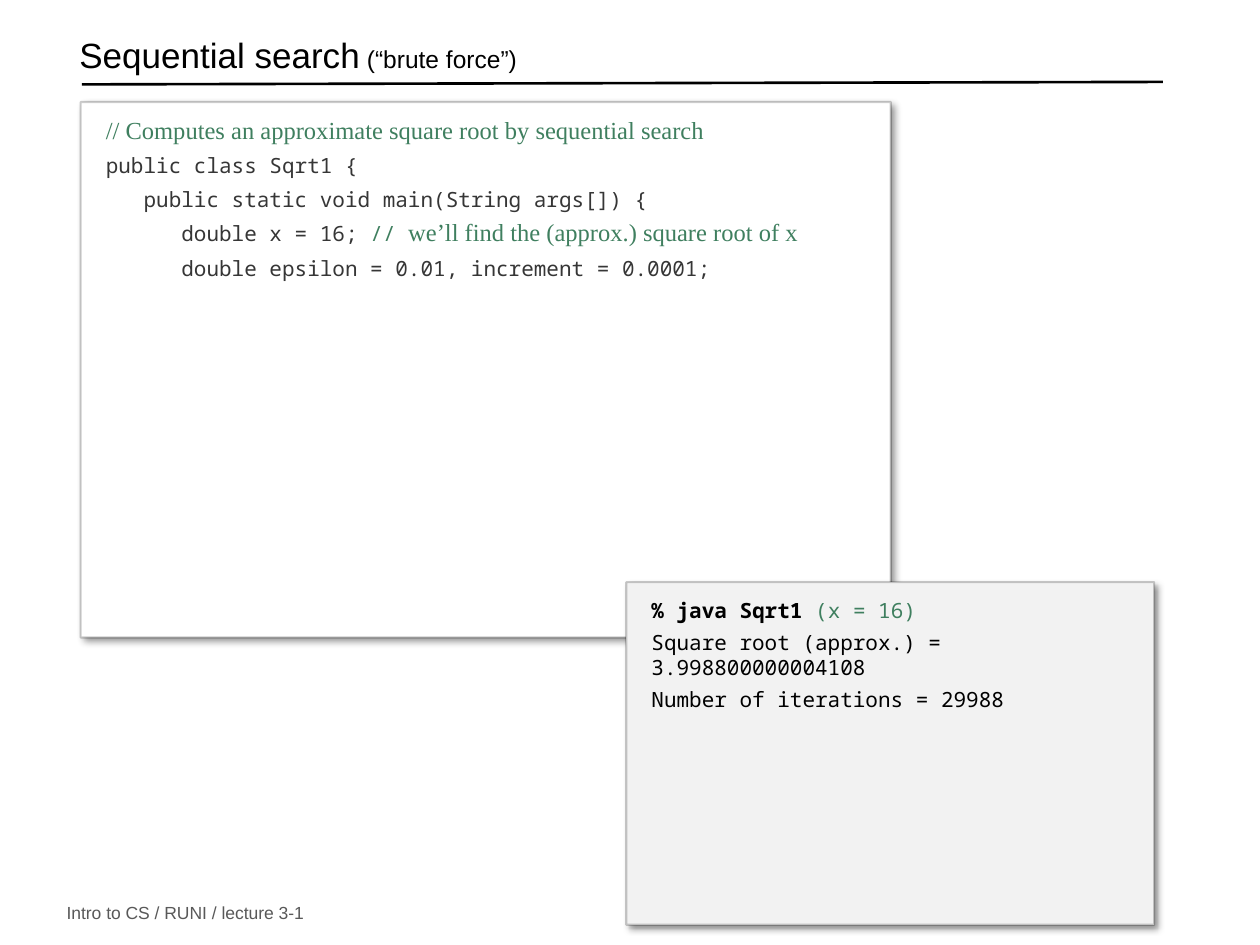
"""Build the sequential search slide with its code panel and console panel."""
from lxml.etree import SubElement
from pptx import Presentation
from pptx.dml.color import RGBColor
from pptx.enum.shapes import MSO_CONNECTOR, MSO_SHAPE
from pptx.enum.text import MSO_ANCHOR, MSO_AUTO_SIZE, PP_ALIGN
from pptx.oxml.ns import qn
from pptx.util import Inches, Pt

COLORS = {"black": "000000", "white": "FFFFFF", "console": "F2F2F2",
          "comment": "3F7F5F", "code": "363636", "footer": "595959"}
HEADING = {"font": "Arial", "size": 20, "color": "black"}
SUBHEADING = {**HEADING, "size": 14}
FOOTER = {"font": "Arial", "size": 10, "color": "footer"}
CODE = {"font": "Noto Sans Mono", "size": 12, "color": "code"}
CODE_COMMENT = {**CODE, "color": "comment"}
COMMENT = {"font": "Times New Roman", "size": 14, "color": "comment"}
OUTPUT = {**CODE, "color": "black"}
COMMAND = {**OUTPUT, "bold": True}

TITLE = [(0, [("Sequential search", HEADING), (" (“brute force”)", SUBHEADING)])]
FOOTER_TEXT = [(0, [("Intro to CS / RUNI / lecture 3-1", FOOTER)])]
PROGRAM = [
    (0, [("// Computes an approximate square root by sequential search", COMMENT)]),
    (5, [("public class Sqrt1 {", CODE)]),
    (5, [("   public static void main(String args[]) {", CODE)]),
    (3, [("      double x = 16; ", CODE), ("// ", CODE_COMMENT),
         ("we’ll find the (approx.) square root of x", COMMENT)]),
    (5, [("      double epsilon = 0.01, increment = 0.0001;", CODE)]),
]
CONSOLE = [
    (0, [("% java Sqrt1 ", COMMAND), ("(x = 16)", CODE_COMMENT)]),
    (4, [("Square root (approx.) = 3.998800000004108", OUTPUT)]),
    (4, [("Number of iterations = 29988", OUTPUT)]),
]
PANELS = [
    ((0.64, 0.81, 6.43, 4.25), "white", (0.2, 0.1, 0, 0.1), PROGRAM),
    ((4.97, 4.62, 4.19, 2.72), "console", (0.2, 0.12, 0, 0), CONSOLE),
]


def rgb(name):
    """Return the named colour."""
    return RGBColor.from_string(COLORS[name])


def write_text(shape, paragraphs, insets=(0.1, 0.05, 0.1, 0.05),
               anchor=MSO_ANCHOR.MIDDLE, wrap=True, line_spacing=None):
    """Fill a shape with paragraphs of formatted runs."""
    frame = shape.text_frame
    frame.auto_size = MSO_AUTO_SIZE.NONE
    frame.word_wrap = wrap
    frame.vertical_anchor = anchor
    (frame.margin_left, frame.margin_top,
     frame.margin_right, frame.margin_bottom) = map(Inches, insets)
    for index, (space_before, runs) in enumerate(paragraphs):
        paragraph = frame.add_paragraph() if index else frame.paragraphs[0]
        paragraph.alignment = PP_ALIGN.LEFT
        paragraph.space_before = Pt(space_before)
        if line_spacing:
            paragraph.line_spacing = line_spacing
        for text, style in runs:
            run = paragraph.add_run()
            run.text = text
            run.font.name = style["font"]
            run.font.size = Pt(style["size"])
            run.font.bold = style.get("bold", False)
            run.font.color.rgb = rgb(style["color"])


def add_panel(slide, box, fill, insets, paragraphs):
    """Add a text panel with a faint border and a soft shadow."""
    panel = slide.shapes.add_shape(MSO_SHAPE.RECTANGLE, *map(Inches, box))
    panel.fill.solid()
    panel.fill.fore_color.rgb = rgb(fill)
    panel.line.color.rgb = rgb("black")
    panel.line.width = Pt(1.25)
    border = panel._element.spPr.find(f"{qn('a:ln')}/{qn('a:solidFill')}/{qn('a:srgbClr')}")
    SubElement(border, qn("a:alpha"), val="20000")
    panel.shadow.inherit = False
    effects = panel._element.spPr.find(qn("a:effectLst"))
    shadow = SubElement(effects, qn("a:outerShdw"), blurRad=str(Pt(4)), dist=str(Pt(3)),
                        dir=str(45 * 60000), algn="tl", rotWithShape="0")
    shade = SubElement(shadow, qn("a:srgbClr"), val=COLORS["black"])
    SubElement(shade, qn("a:alpha"), val="43000")
    write_text(panel, paragraphs, insets=insets, anchor=MSO_ANCHOR.TOP)


def main():
    """Assemble and save the slide."""
    presentation = Presentation()
    presentation.slide_width, presentation.slide_height = Inches(10), Inches(7.5)
    slide = presentation.slides.add_slide(presentation.slide_layouts[5])

    title = slide.shapes.title
    title.left, title.top, title.width, title.height = map(Inches, (0.53, 0.22, 8.6, 0.5))
    write_text(title, TITLE, line_spacing=0.7)

    rule = slide.shapes.add_connector(MSO_CONNECTOR.STRAIGHT,
                                      *map(Inches, (0.65, 0.67, 9.23, 0.65)))
    rule.line.color.rgb = rgb("black")
    rule.line.width = Pt(1.5)
    SubElement(rule._element.spPr, qn("a:effectLst"))

    footer = slide.shapes.add_textbox(*map(Inches, (0.43, 7.14, 4, 0.21)))
    write_text(footer, FOOTER_TEXT)

    for box, fill, insets, paragraphs in PANELS:
        add_panel(slide, box, fill, insets, paragraphs)
    presentation.save("out.pptx")


if __name__ == "__main__":
    main()
